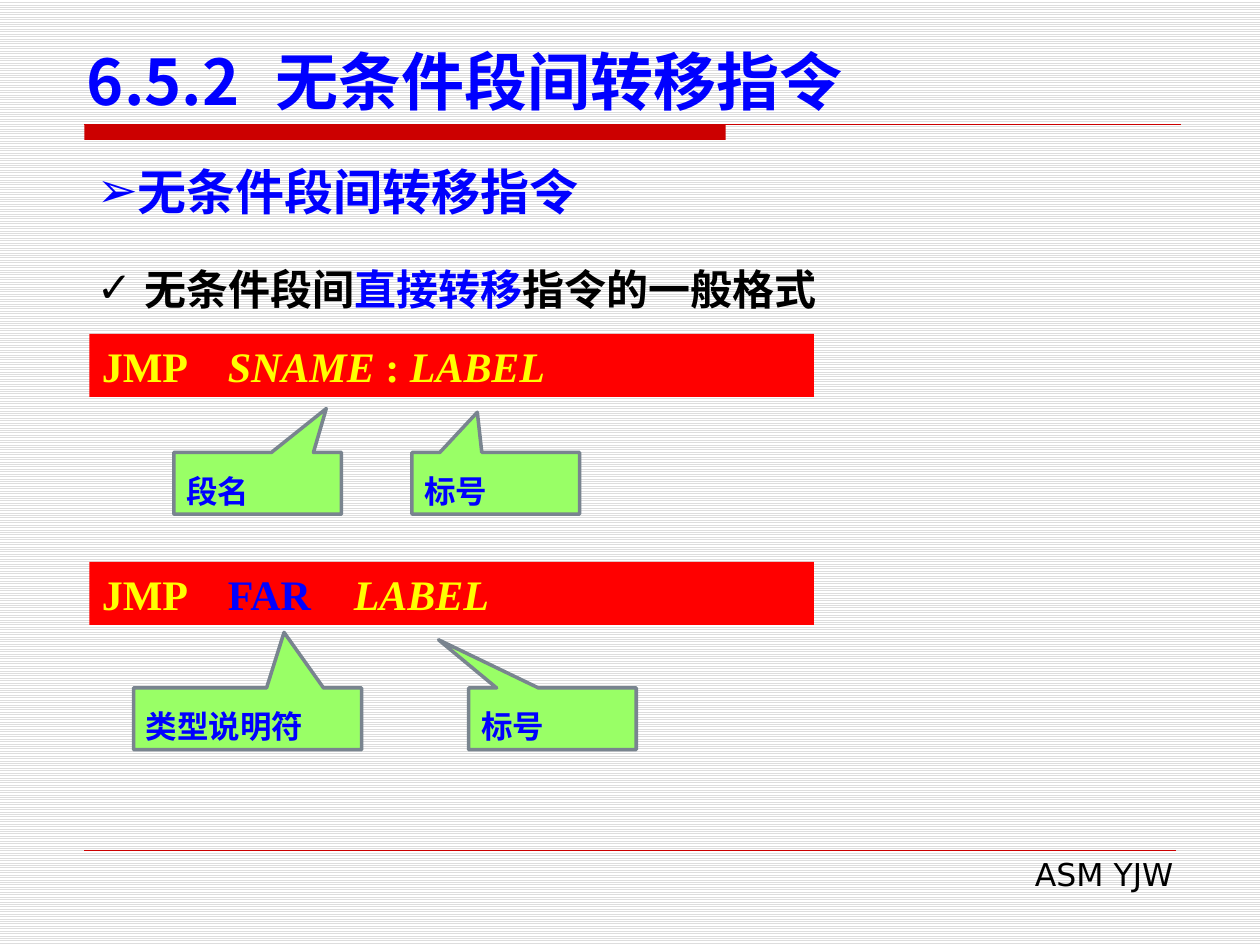
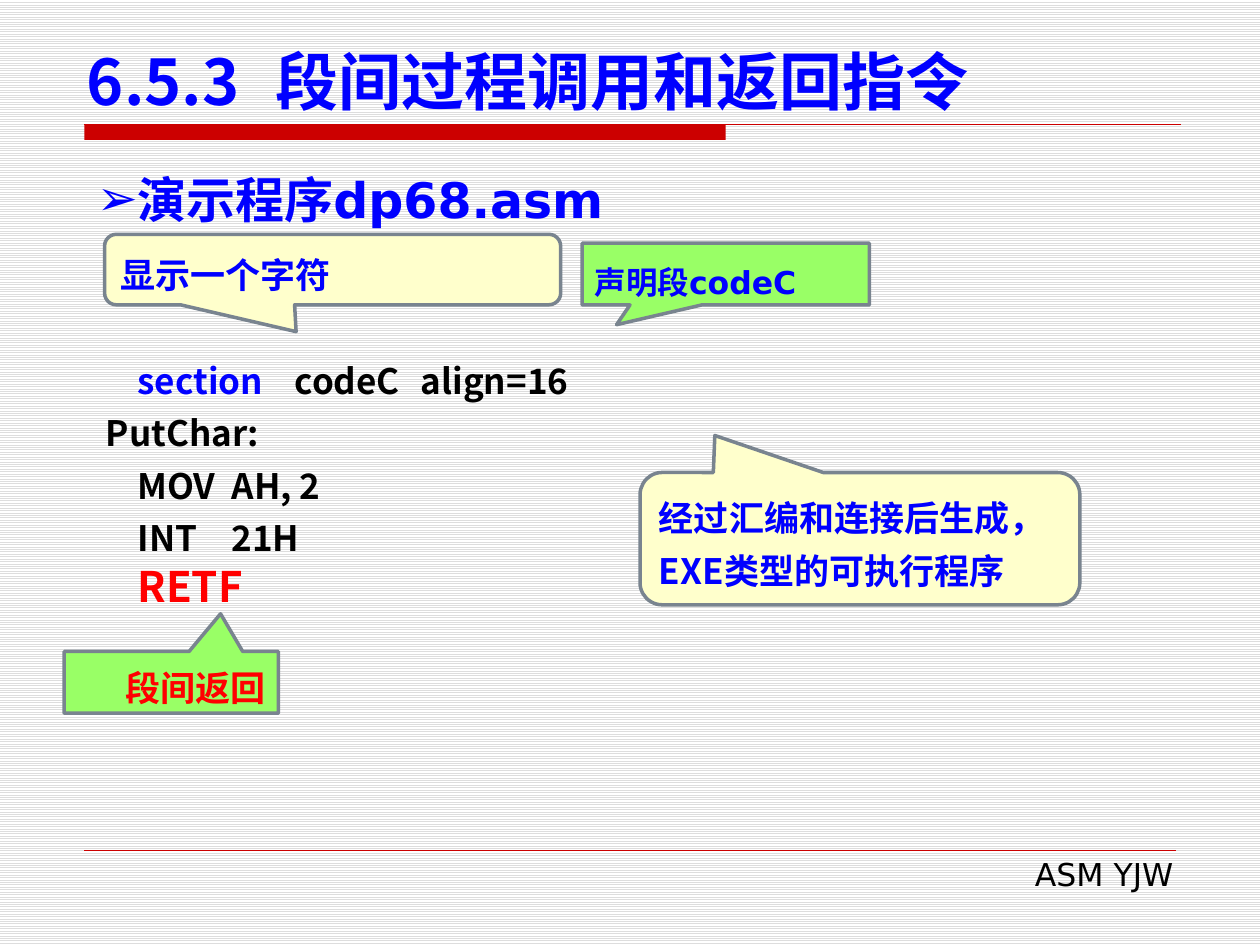
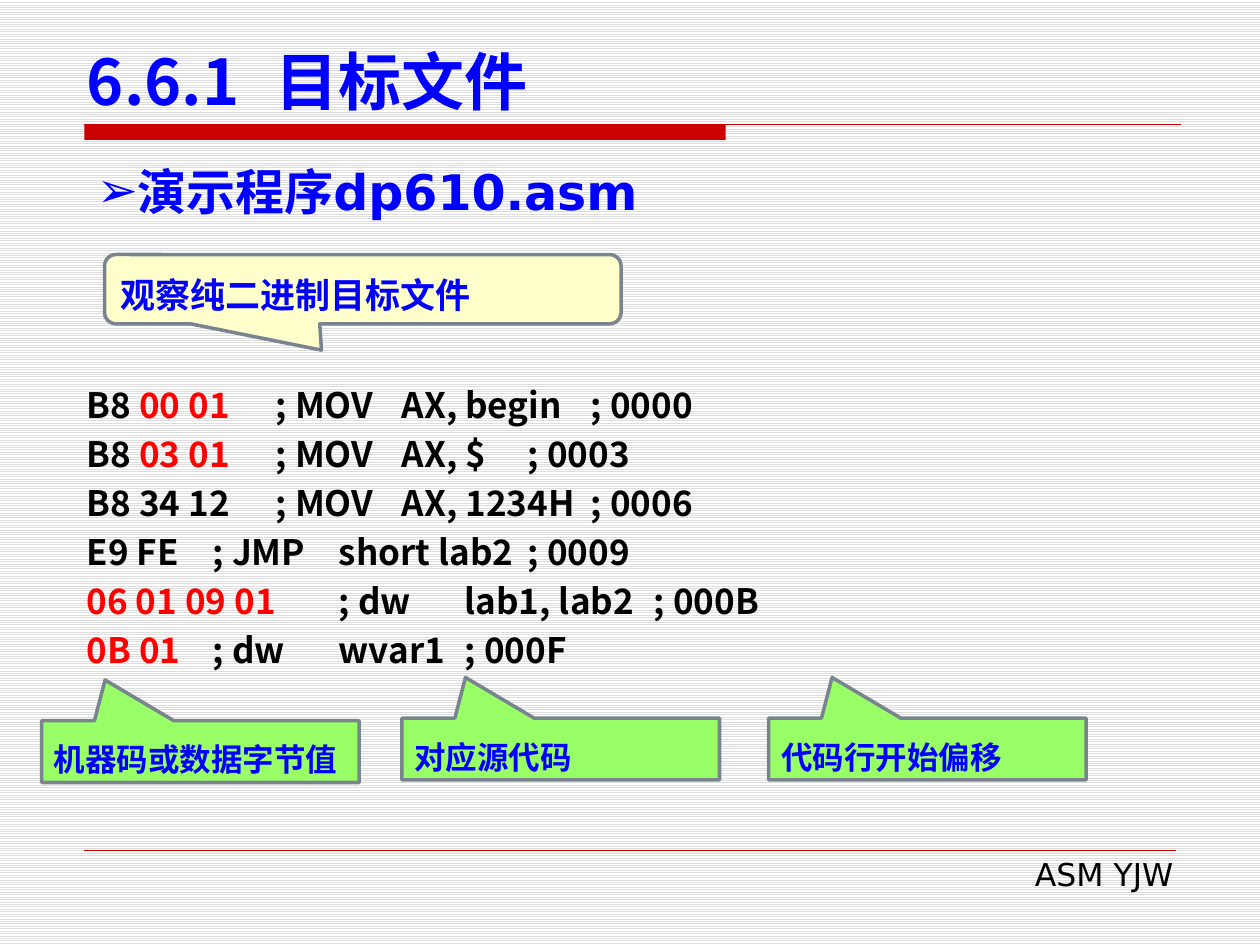
from lxml import etree
from pptx import Presentation
from pptx.dml.color import RGBColor
from pptx.enum import dml, shapes, text
from pptx.oxml import ns
from pptx.util import Inches, Pt

BLUE = RGBColor(0x00, 0x00, 0xFF)
RED = RGBColor(0xFF, 0x00, 0x00)
BLACK = RGBColor(0x00, 0x00, 0x00)
WHITE = RGBColor(0xFF, 0xFF, 0xFF)
YELLOW = RGBColor(0xFF, 0xFF, 0x00)
CREAM = RGBColor(0xFF, 0xFF, 0xCC)
GREEN = RGBColor(0x99, 0xFF, 0x66)
SLATE = RGBColor(0x79, 0x84, 0x8F)
CRIMSON = RGBColor(0xCC, 0x00, 0x00)
GREY = RGBColor(0xDD, 0xDD, 0xDD)

SANS = "DejaVu Sans"
CJK = "Noto Sans CJK SC"
SERIF = "Times New Roman"

# Runs that differ from their paragraph
IN_BLUE = {"color": BLUE}
IN_RED = {"color": RED}
ITALIC = {"italic": True}


class Lecture:
    def __init__(self):
        self.deck = Presentation()
        self.deck.slide_width, self.deck.slide_height = Inches(10), Inches(7.5)
        self.page = None

    # Text helpers
    def fill_para(self, para, spans, font, size, color, bold=True, spacing=None,
                  align=None, bullet=None, hanging=0, stops=()):
        """Fill a paragraph; spans is a string or a list of strings and (string, changes)."""
        props = para._p.get_or_add_pPr()
        props.set("marL", str(Inches(hanging)))
        props.set("indent", str(-Inches(hanging)))
        if bullet:
            etree.SubElement(props, ns.qn("a:buFont"), typeface=SANS)
            etree.SubElement(props, ns.qn("a:buChar"), char=bullet)
        if stops:
            tabs = etree.SubElement(props, ns.qn("a:tabLst"))
            for stop in stops:
                etree.SubElement(tabs, ns.qn("a:tab"), pos=str(Inches(stop)), algn="l")
        para.alignment = align or text.PP_ALIGN.LEFT
        para.line_spacing = spacing
        para.font.name, para.font.size, para.font.bold = font, Pt(size), bold
        para.font.color.rgb = color
        defaults = props.find(ns.qn("a:defRPr"))
        etree.SubElement(defaults, ns.qn("a:ea"), typeface=CJK)

        for span in [spans] if isinstance(spans, str) else spans:
            wording, changes = (span, {}) if isinstance(span, str) else span
            run = para.add_run()
            run.text = wording
            if "color" in changes:
                run.font.color.rgb = changes["color"]
            if "size" in changes:
                run.font.size = Pt(changes["size"])
            if "italic" in changes:
                run.font.italic = changes["italic"]

    def text_box(self, left, top, width, height):
        box = self.page.shapes.add_textbox(
            Inches(left), Inches(top), Inches(width), Inches(height))
        box.text_frame.word_wrap = True
        box.text_frame.auto_size = text.MSO_AUTO_SIZE.SHAPE_TO_FIT_TEXT
        return box.text_frame

    # Shape helpers
    def shape(self, kind, left, top, width, height, fill):
        shape = self.page.shapes.add_shape(
            kind, Inches(left), Inches(top), Inches(width), Inches(height))
        shape.shadow.inherit = False
        shape.fill.solid()
        shape.fill.fore_color.rgb = fill
        shape.line.fill.background()
        return shape

    def rule(self, top, right, weight):
        line = self.page.shapes.add_connector(
            shapes.MSO_CONNECTOR.STRAIGHT, Inches(0.67), Inches(top), Inches(right), Inches(top))
        line.line.color.rgb = CRIMSON
        line.line.width = Pt(weight)
        etree.SubElement(line._element.spPr, ns.qn("a:effectLst"))

    # Slide frame
    def new_page(self, number, title):
        self.page = self.deck.slides.add_slide(self.deck.slide_layouts[5])
        backdrop = self.page.background.fill
        backdrop.patterned()
        backdrop.pattern = dml.MSO_PATTERN.LIGHT_HORIZONTAL
        backdrop.fore_color.rgb, backdrop.back_color.rgb = GREY, WHITE

        self.shape(shapes.MSO_SHAPE.RECTANGLE, 0.67, 0.99, 5.09, 0.12, CRIMSON)
        self.rule(0.99, 9.37, 0.75)
        self.rule(6.75, 9.33, 0.25)
        footer = self.text_box(3.82, 6.74, 5.59, 0.4)
        self.fill_para(footer.paragraphs[0], "ASM YJW", SANS, 18, BLACK, bold=False,
                       align=text.PP_ALIGN.RIGHT)

        heading = self.page.shapes.title
        heading.left, heading.top = Inches(0.59), Inches(0.28)
        heading.width, heading.height = Inches(9.06), Inches(0.71)
        frame = heading.text_frame
        frame.auto_size = text.MSO_AUTO_SIZE.NONE
        frame.vertical_anchor = text.MSO_ANCHOR.BOTTOM
        self.fill_para(frame.paragraphs[0], f"{number}\t{title}", CJK, 36, BLUE, stops=[1.55])

    # Content elements
    def topic(self, wording, top=1.23, height=0.57, spacing=None):
        frame = self.text_box(0.67, top, 8.66, height)
        self.fill_para(frame.paragraphs[0], wording, SANS, 28, BLUE, bullet="➢",
                       spacing=spacing, align=text.PP_ALIGN.JUSTIFY)

    def point(self, top, spans):
        frame = self.text_box(0.67, top, 8.82, 0.61)
        self.fill_para(frame.paragraphs[0], spans, CJK, 24, BLACK, bullet="✓",
                       hanging=0.38, spacing=Pt(36))

    def syntax_bar(self, top, spans, stops):
        bar = self.shape(shapes.MSO_SHAPE.RECTANGLE, 0.71, top, 5.75, 0.5, RED)
        bar.text_frame.vertical_anchor = text.MSO_ANCHOR.TOP
        self.fill_para(bar.text_frame.paragraphs[0], spans, SERIF, 24, YELLOW, stops=stops)

    def code(self, left, top, width, height, spacing, lines):
        frame = self.text_box(left, top, width, height)
        for index, (spans, stops) in enumerate(lines):
            para = frame.add_paragraph() if index else frame.paragraphs[0]
            self.fill_para(para, spans, CJK, 20, BLACK, spacing=Pt(spacing), stops=stops)

    def callout(self, kind, left, top, width, height, tip, fill, lines, font, size, color, align):
        box = self.shape(kind, left, top, width, height, fill)
        box.line.color.rgb = SLATE
        box.line.width = Pt(2)
        box.adjustments[0], box.adjustments[1] = tip
        frame = box.text_frame
        frame.word_wrap = True
        frame.vertical_anchor = text.MSO_ANCHOR.MIDDLE
        for index, line in enumerate(lines):
            para = frame.add_paragraph() if index else frame.paragraphs[0]
            self.fill_para(para, line, font, size, color, spacing=Pt(30), align=align)

    def label(self, left, top, width, tip, wording, size=18, color=BLUE, align=None):
        self.callout(shapes.MSO_SHAPE.RECTANGULAR_CALLOUT, left, top, width, 0.49, tip,
                     GREEN, [wording], SANS, size, color, align)

    def remark(self, left, top, width, height, tip, *lines):
        self.callout(shapes.MSO_SHAPE.ROUNDED_RECTANGULAR_CALLOUT, left, top, width, height,
                     tip, CREAM, lines, CJK, 20, BLUE, None)


def far_jump(lecture):
    lecture.new_page("6.5.2", "无条件段间转移指令")
    lecture.topic("无条件段间转移指令")
    lecture.point(1.94, ["无条件段间", ("直接转移", IN_BLUE), "指令的一般格式"])

    # Segment and label form
    lecture.syntax_bar(2.65, ["JMP\t", ("SNAME", ITALIC), " : ", ("LABEL", ITALIC)], [1.16])
    lecture.label(1.38, 3.59, 1.33, (0.41, -1.21), "段名")
    lecture.label(3.27, 3.59, 1.33, (-0.11, -1.15), "标号")

    # FAR form
    lecture.syntax_bar(4.46, ["JMP\t", ("FAR\t", IN_BLUE), ("LABEL", ITALIC)], [1.16, 2.16])
    lecture.label(3.72, 5.46, 1.33, (-0.68, -1.28), "标号")
    lecture.label(1.06, 5.46, 1.81, (0.16, -1.4), "类型说明符")


def far_return(lecture):
    lecture.new_page("6.5.3", "段间过程调用和返回指令")
    lecture.topic("演示程序dp68.asm", top=1.11, height=0.67, spacing=1.4)
    lecture.code(0.74, 2.72, 8.35, 2.2, 30, [
        (["    ", ("section\t", IN_BLUE), "codeC\talign=16"], [1.37, 2.33]),
        ("PutChar:", []),
        ("    MOV\tAH, 2", [1.06]),
        ("    INT\t21H", [0.91]),
        (["    ", ("RETF", {"color": RED, "size": 24})], []),
    ])
    lecture.remark(0.83, 1.86, 3.62, 0.56, (-0.08, 0.88), "显示一个字符")
    lecture.label(4.62, 1.93, 2.28, (-0.38, 0.82), "声明段codeC")
    lecture.label(0.51, 5.17, 1.7, (0.23, -1.11), "段间返回", 20, RED, text.PP_ALIGN.RIGHT)
    lecture.remark(5.08, 3.75, 3.49, 1.05, (-0.33, -0.78),
                   "经过汇编和连接后生成，", "EXE类型的可执行程序")


def object_file(lecture):
    lecture.new_page("6.6.1", "目标文件")
    lecture.topic("演示程序dp610.asm")
    lecture.remark(0.83, 2.02, 4.1, 0.55, (-0.08, 0.88), "观察纯二进制目标文件")
    lecture.code(0.59, 2.94, 9.26, 2.46, 28, [
        (["B8 ", ("00 01", IN_RED), "\t; MOV\tAX, begin\t; 0000"], [1.62, 2.53, 4.17]),
        (["B8 ", ("03 01", IN_RED), "\t; MOV\tAX, $\t; 0003"], [1.62, 2.53, 3.82]),
        ("B8 34 12\t; MOV\tAX, 1234H\t; 0006", [1.62, 2.53, 4.27]),
        ("E9 FE\t; JMP\tshort lab2\t; 0009", [1.4, 2.28, 3.97]),
        ([("06 01 09 01", IN_RED), "\t; dw\tlab1, lab2\t; 000B"], [1.79, 2.49, 4.21]),
        ([("0B 01", IN_RED), "\t; dw\twvar1\t; 000F"], [1.42, 2.14, 3.66]),
    ])

    # Column labels
    for left, top, wording in [(0.33, 5.72, "机器码或数据字节值"),
                               (3.19, 5.7, "对应源代码"),
                               (6.1, 5.7, "代码行开始偏移")]:
        lecture.label(left, top, 2.52, (-0.3, -1.16), wording)


def main():
    lecture = Lecture()
    far_jump(lecture)
    far_return(lecture)
    object_file(lecture)
    lecture.deck.save("out.pptx")


if __name__ == "__main__":
    main()
